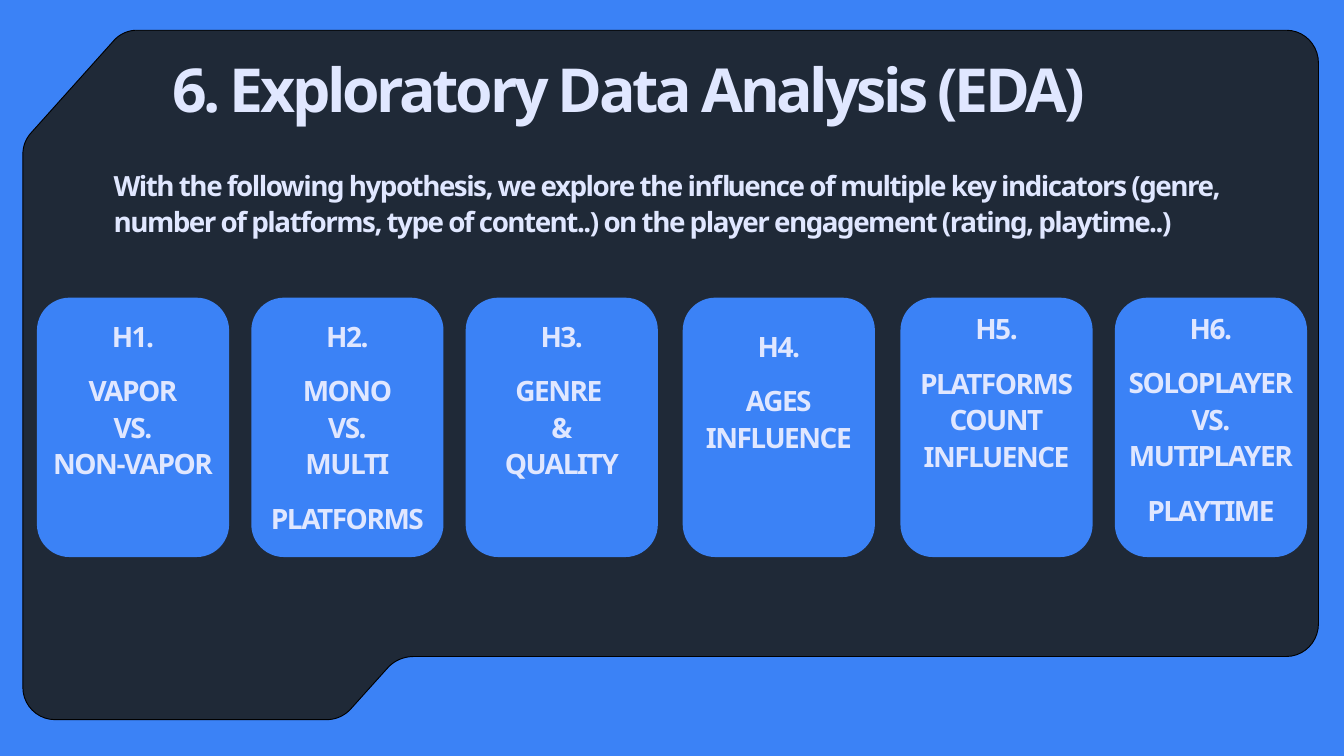
import pptx
import pptx.dml.color
import pptx.enum.shapes
import pptx.enum.text
import pptx.util

PX = 9144
BLUE, NAVY, PALE, BLACK = "3B82F6", "1F2937", "E0E7FF", "000000"
FONT = "Noto Sans"
CURVE_STEPS = 10

CORNERS = [
    ((488, 1010), (542, 950), (552, 938), (567, 932), (582, 932)),
    ((582, 932), (1880, 932), (1907, 932), (1928, 910), (1928, 883)),
    ((1928, 883), (1928, 49), (1928, 22), (1907, 0), (1880, 0)),
    ((1880, 0), (170, 0), (156, 0), (143, 6), (134, 17)),
    ((134, 17), (12, 153), (4, 162), (0, 173), (0, 185)),
    ((0, 185), (0, 978), (0, 1004), (21, 1026), (48, 1026)),
    ((48, 1026), (452, 1026), (466, 1026), (479, 1020), (488, 1010)),
]

CARD_TOP, CARD_WIDTH, CARD_HEIGHT = 443, 286, 386
HYPOTHESES = [
    (55, 28, [["H1."], ["VAPOR", "VS.", "NON-VAPOR"]]),
    (374, 28, [["H2."], ["MONO", "VS.", "MULTI"], ["PLATFORMS"]]),
    (693, 28, [["H3."], ["GENRE ", "&", "QUALITY"]]),
    (1016, 43, [["H4."], ["AGES", "INFLUENCE"]]),
    (1340, 17, [["H5."], ["PLATFORMS", "COUNT", "INFLUENCE"]]),
    (1659, 16, [["H6."], ["SOLOPLAYER", "VS.", "MUTIPLAYER"], ["PLAYTIME"]]),
]


def color(hex_value):
    return pptx.dml.color.RGBColor.from_string(hex_value)


def paint(shape, fill, line=None):
    shape.shadow.inherit = False
    shape.fill.solid()
    shape.fill.fore_color.rgb = color(fill)
    if line:
        shape.line.color.rgb = color(line)
        shape.line.width = pptx.util.Pt(1)
    else:
        shape.line.fill.background()


def add_text(slide, box, groups, size, leading, spacing, align):
    frame = slide.shapes.add_textbox(*(n * PX for n in box)).text_frame
    frame.word_wrap = True
    frame.auto_size = pptx.enum.text.MSO_AUTO_SIZE.SHAPE_TO_FIT_TEXT
    frame.margin_left = frame.margin_right = 0
    frame.margin_top = frame.margin_bottom = 0
    frame.text = "\n".join(line for group in groups for line in group)
    starts_group = [i == 0 for group in groups for i in range(len(group))]
    for index, paragraph in enumerate(frame.paragraphs):
        paragraph.alignment = align
        paragraph.line_spacing = pptx.util.Pt(leading)
        if index and starts_group[index]:
            paragraph.space_before = pptx.util.Pt(leading / 2)
        for run in paragraph.runs:
            run.font.name = FONT
            run.font.size = pptx.util.Pt(size)
            run.font.bold = True
            run.font.color.rgb = color(PALE)
            run._r.get_or_add_rPr().set("spc", str(round(spacing * 100)))


def curve_point(points, t):
    weights = ((1 - t) ** 3, 3 * t * (1 - t) ** 2, 3 * t**2 * (1 - t), t**3)
    return tuple(sum(w * p[axis] for w, p in zip(weights, points)) for axis in (0, 1))


def add_panel(slide, left, top):
    outline = [
        curve_point(corner[1:], step / CURVE_STEPS)
        for corner in CORNERS
        for step in range(CURVE_STEPS + 1)
    ]
    points = [((left + x) * PX, (top + y) * PX) for x, y in outline]
    builder = slide.shapes.build_freeform(*points[0])
    builder.add_line_segments(points[1:], close=True)
    paint(builder.convert_to_shape(), NAVY, BLACK)


def add_heading(slide, left, top):
    align = pptx.enum.text.PP_ALIGN.LEFT
    add_text(slide, (left + 87, top, 1631, 96),
             [["6. Exploratory Data Analysis (EDA)"]], 65, 65, -3.6, align)
    introduction = (
        "With the following hypothesis, we explore the influence of multiple "
        "key indicators (genre, number of platforms, type of content..) on "
        "the player engagement (rating, playtime..)"
    )
    add_text(slide, (left, top + 152, 1657, 106),
             [[introduction]], 29.8, 38.7, -1.6, align)


def add_card(slide, left, top, text_offset, groups):
    card = slide.shapes.add_shape(
        pptx.enum.shapes.MSO_SHAPE.ROUNDED_RECTANGLE,
        left * PX, top * PX, CARD_WIDTH * PX, CARD_HEIGHT * PX)
    card.adjustments[0] = 0.17
    paint(card, BLUE)
    height = 54 * sum(map(len, groups)) + 27 * (len(groups) - 1)
    add_text(slide, (left + 18, top + text_offset, CARD_WIDTH - 36, height),
             groups, 30, 39, -1.6, pptx.enum.text.PP_ALIGN.CENTER)


def main():
    deck = pptx.Presentation()
    deck.slide_width, deck.slide_height = 2000 * PX, 1125 * PX
    slide = deck.slides.add_slide(deck.slide_layouts[6])
    slide.background.fill.solid()
    slide.background.fill.fore_color.rgb = color(BLUE)
    add_panel(slide, 34, 45)
    add_heading(slide, 169, 95)
    for left, text_offset, groups in HYPOTHESES:
        add_card(slide, left, CARD_TOP, text_offset, groups)
    deck.save("out.pptx")


if __name__ == "__main__":
    main()
